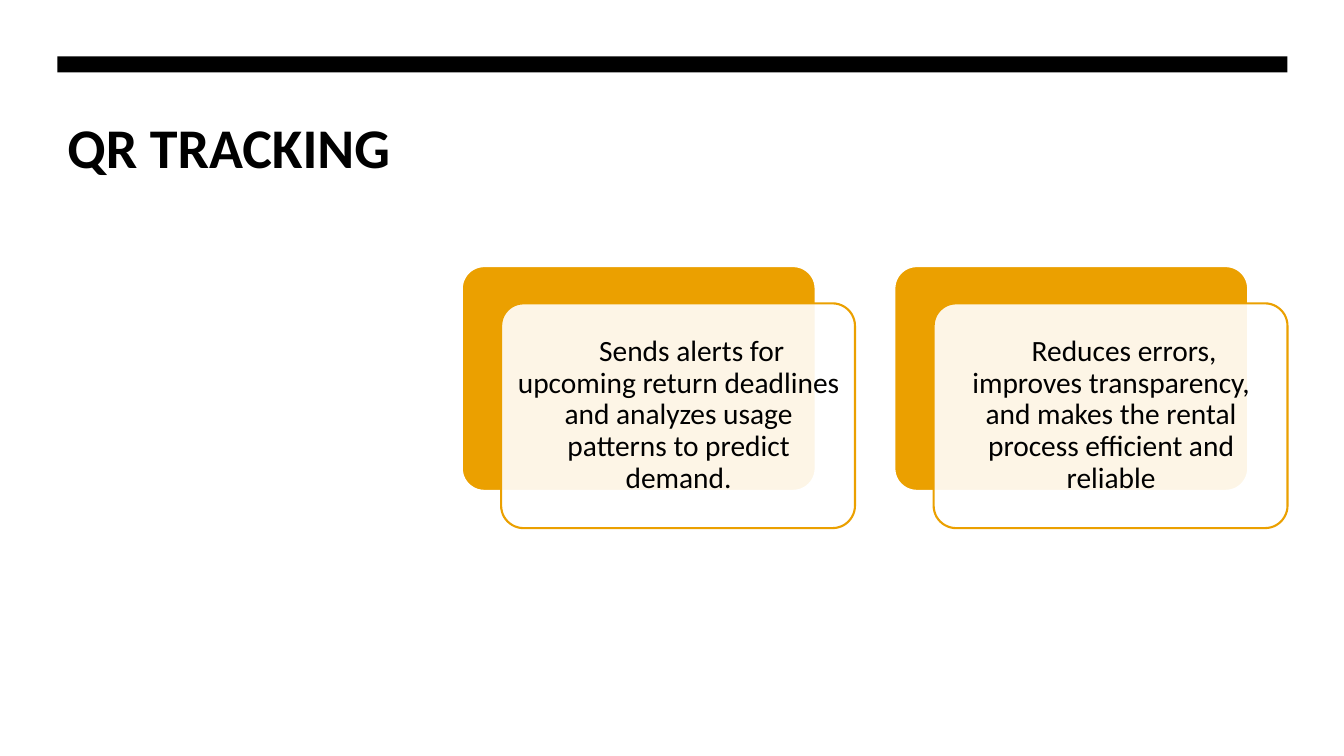
from pptx import Presentation
from pptx.dml.color import RGBColor
from pptx.enum.shapes import MSO_SHAPE
from pptx.enum.text import MSO_ANCHOR, PP_ALIGN
from pptx.util import Pt
from lxml.etree import SubElement
from pptx.oxml.ns import qn

PX = 9144  # 100 px to the inch
BLACK, WHITE, GOLD = "000000", "FFFFFF", "EBA000"

deck = Presentation()
deck.slide_width, deck.slide_height = 1333 * PX, 750 * PX
slide = deck.slides.add_slide(deck.slide_layouts[6])
shapes = slide.shapes


def add_box(kind, x, y, w, h, fill, line=None):
    box = shapes.add_shape(kind, x * PX, y * PX, w * PX, h * PX)
    box.shadow.inherit = False
    box.fill.solid()
    box.fill.fore_color.rgb = RGBColor.from_string(fill)
    if line:
        box.line.color.rgb = RGBColor.from_string(line)
        box.line.width = Pt(1.5)
    else:
        box.line.fill.background()
    return box


def add_text(text, x, y, w, h, size, bold=False, align=PP_ALIGN.LEFT,
             anchor=MSO_ANCHOR.TOP, pad=(10, 5), lead=1.0, indent=0):
    frame = shapes.add_textbox(x * PX, y * PX, w * PX, h * PX).text_frame
    frame.word_wrap = True
    frame.vertical_anchor = anchor
    frame.margin_left = frame.margin_right = pad[0] * PX
    frame.margin_top = frame.margin_bottom = pad[1] * PX
    para = frame.paragraphs[0]
    para.alignment = align
    para.line_spacing = lead
    if indent:
        para._p.get_or_add_pPr().set("indent", str(indent * PX))
    run = para.add_run()
    run.text = text
    run.font.name = "Calibri"
    run.font.size = Pt(size)
    run.font.bold = bold
    run.font.color.rgb = RGBColor.from_string(BLACK)


add_text("QR TRACKING", 57, 107, 345, 445, 40, bold=True)
add_box(MSO_SHAPE.RECTANGLE, 57, 56, 1220, 16, BLACK)

cards = [
    "Sends alerts for upcoming return deadlines and analyzes usage "
    "patterns to predict demand.",
    "Reduces errors, improves transparency, and makes the rental "
    "process efficient and reliable",
]
left, top, wide, high, step = 458, 264, 351, 223, 429

for i, words in enumerate(cards):
    x = left + i * step
    back = add_box(MSO_SHAPE.ROUNDED_RECTANGLE, x, top, wide, high, GOLD, WHITE)
    front = add_box(MSO_SHAPE.ROUNDED_RECTANGLE, x + 39, top + 37, wide, high,
                    WHITE, GOLD)
    back.adjustments[0] = front.adjustments[0] = 0.1
    tint = front._element.spPr.find(qn("a:solidFill")).find(qn("a:srgbClr"))
    SubElement(tint, qn("a:alpha"), val="90000")
    add_text(words, x + 46, top + 43, 338, 210, 21, align=PP_ALIGN.CENTER,
             anchor=MSO_ANCHOR.MIDDLE, pad=(9, 9), lead=0.9, indent=26)

deck.save("out.pptx")
